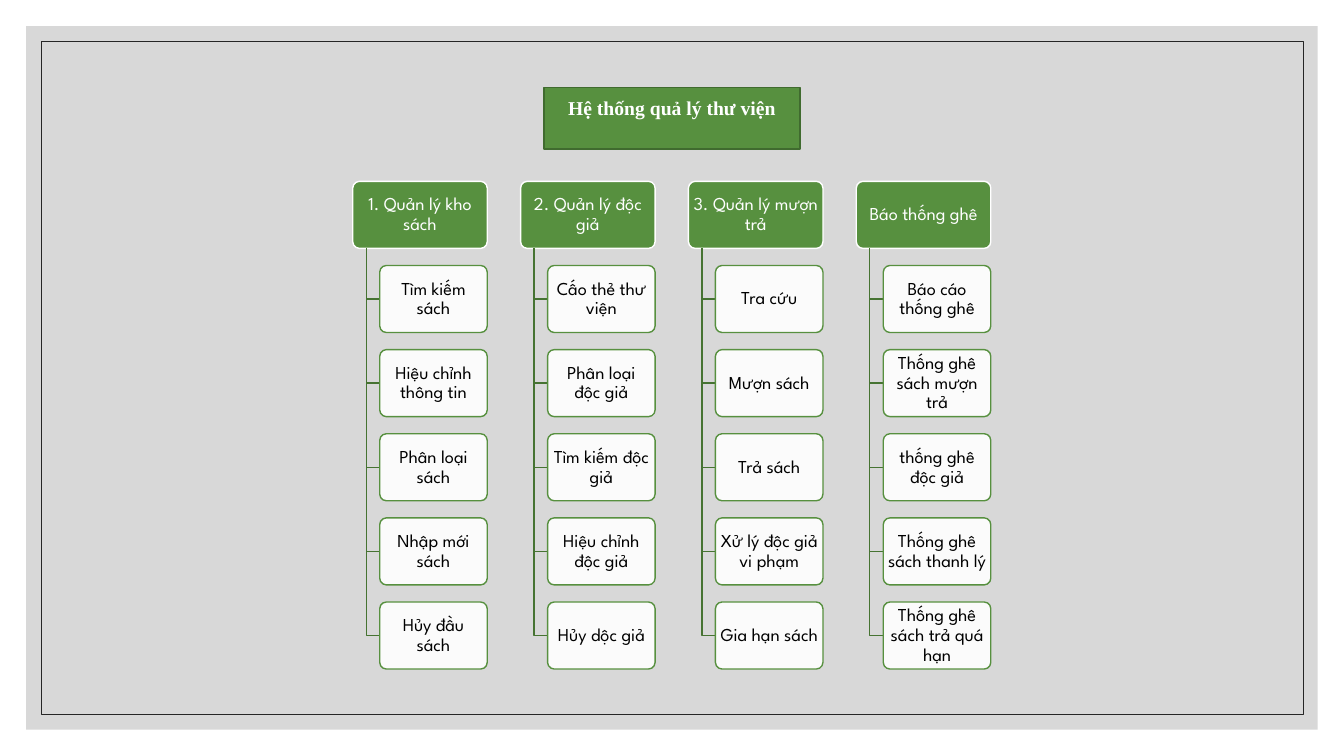
"""Build a slide with the function chart of a library management system."""
from lxml import etree
from pptx import Presentation
from pptx.dml.color import RGBColor
from pptx.enum.shapes import MSO_SHAPE
from pptx.enum.text import MSO_ANCHOR, PP_ALIGN
from pptx.oxml.ns import qn
from pptx.util import Cm, Pt

COLORS = {
    "panel": "BFBFBF",
    "frame": "262626",
    "green": "57903F",
    "dark_green": "406B2F",
    "branch": "467332",
    "white": "FFFFFF",
    "black": "000000",
}
BRANCHES = {
    "1. Quản lý kho sách": [
        "Tìm kiếm sách", "Hiệu chỉnh thông tin", "Phân loại sách",
        "Nhập mới sách", "Hủy đầu sách",
    ],
    "2. Quản lý độc giả": [
        "Cấo thẻ thư viện", "Phân loại độc giả", "Tìm kiếm độc giả",
        "Hiệu chỉnh độc giả", "Hủy dộc giả",
    ],
    "3. Quản lý mượn trả": [
        "Tra cứu", "Mượn sách", "Trả sách",
        "Xử lý độc giả vi phạm", "Gia hạn sách",
    ],
    "Báo thống ghê": [
        "Báo cáo thống ghê", "Thống ghê sách mượn trả", "thống ghê độc giả",
        "Thống ghê sách thanh lý", "Thống ghê sách trả quá hạn",
    ],
}
CHART_LEFT, CHART_TOP = 8.89, 4.57
COLUMN_STEP, ROW_STEP = 4.23, 2.12
HEAD_WIDTH, BOX_HEIGHT = 3.39, 1.69
INDENT = 0.34


def color(name):
    """Return the named colour."""
    return RGBColor.from_string(COLORS[name])


def add_box(page, kind, area, fill=None, line=None, weight=1, opacity=100):
    """Add a preset shape; area is left, top, width, height in centimetres."""
    box = page.shapes.add_shape(kind, *map(Cm, area))
    box.shadow.inherit = False
    if fill:
        box.fill.solid()
        box.fill.fore_color.rgb = color(fill)
        if opacity < 100:
            tint = box.fill._xPr.find(".//" + qn("a:srgbClr"))
            etree.SubElement(tint, qn("a:alpha"), val=str(opacity * 1000))
    else:
        box.fill.background()
    if line:
        box.line.color.rgb = color(line)
        box.line.width = Pt(weight)
    else:
        box.line.fill.background()
    return box


def write(box, text, ink, font="League Spartan", size=13, bold=False,
          spacing=0.9, margins=(0.06, 0.05, 0.06, 0.05)):
    """Write one centred paragraph in a box."""
    frame = box.text_frame
    frame.word_wrap = True
    frame.vertical_anchor = MSO_ANCHOR.MIDDLE
    (frame.margin_left, frame.margin_top,
     frame.margin_right, frame.margin_bottom) = map(Cm, margins)
    para = frame.paragraphs[0]
    para.text = text
    para.alignment = PP_ALIGN.CENTER
    para.line_spacing = spacing
    para.font.name = font
    para.font.size = Pt(size)
    para.font.bold = bold
    para.font.color.rgb = color(ink)


def add_node(page, text, left, top, width, fill, line, ink, opacity=100):
    """Add a rounded chart node with its label."""
    node = add_box(page, MSO_SHAPE.ROUNDED_RECTANGLE,
                   (left, top, width, BOX_HEIGHT), fill, line, opacity=opacity)
    node.adjustments[0] = 0.1
    write(node, text, ink)


def add_elbow(page, left, top, bottom):
    """Add an open line that runs down and then right to a node."""
    builder = page.shapes.build_freeform(Cm(left), Cm(top))
    builder.add_line_segments(
        [(Cm(left), Cm(bottom)), (Cm(left + INDENT), Cm(bottom))], close=False)
    elbow = builder.convert_to_shape()
    elbow.shadow.inherit = False
    elbow.fill.background()
    elbow.line.color.rgb = color("branch")
    elbow.line.width = Pt(1)


def add_branch(page, left, heading, functions):
    """Add a heading with its functions hanging below."""
    add_node(page, heading, left, CHART_TOP, HEAD_WIDTH,
             "green", "white", "white")
    for row, function in enumerate(functions, start=1):
        top = CHART_TOP + row * ROW_STEP
        add_elbow(page, left + INDENT, CHART_TOP + BOX_HEIGHT,
                  top + BOX_HEIGHT / 2)
        add_node(page, function, left + 2 * INDENT, top,
                 HEAD_WIDTH - 2 * INDENT, "white", "green", "black", 90)


def main():
    """Build and save the deck."""
    deck = Presentation()
    deck.slide_width, deck.slide_height = Cm(33.87), Cm(19.05)
    page = deck.slides.add_slide(deck.slide_layouts[6])
    add_box(page, MSO_SHAPE.RECTANGLE, (0.66, 0.66, 32.55, 17.73),
            "panel", opacity=60)
    add_box(page, MSO_SHAPE.RECTANGLE, (1.04, 1.04, 31.8, 16.97),
            line="frame", weight=0.5)
    for column, (heading, functions) in enumerate(BRANCHES.items()):
        add_branch(page, CHART_LEFT + column * COLUMN_STEP, heading, functions)
    title = add_box(page, MSO_SHAPE.RECTANGLE, (13.71, 2.21, 6.45, 1.55),
                    "green", "dark_green")
    write(title, "Hệ thống quả lý thư viện", "white", "Times New Roman", 14,
          True, 1.5, (0.25, 0, 0.25, 0.85))
    deck.save("out.pptx")


if __name__ == "__main__":
    main()
